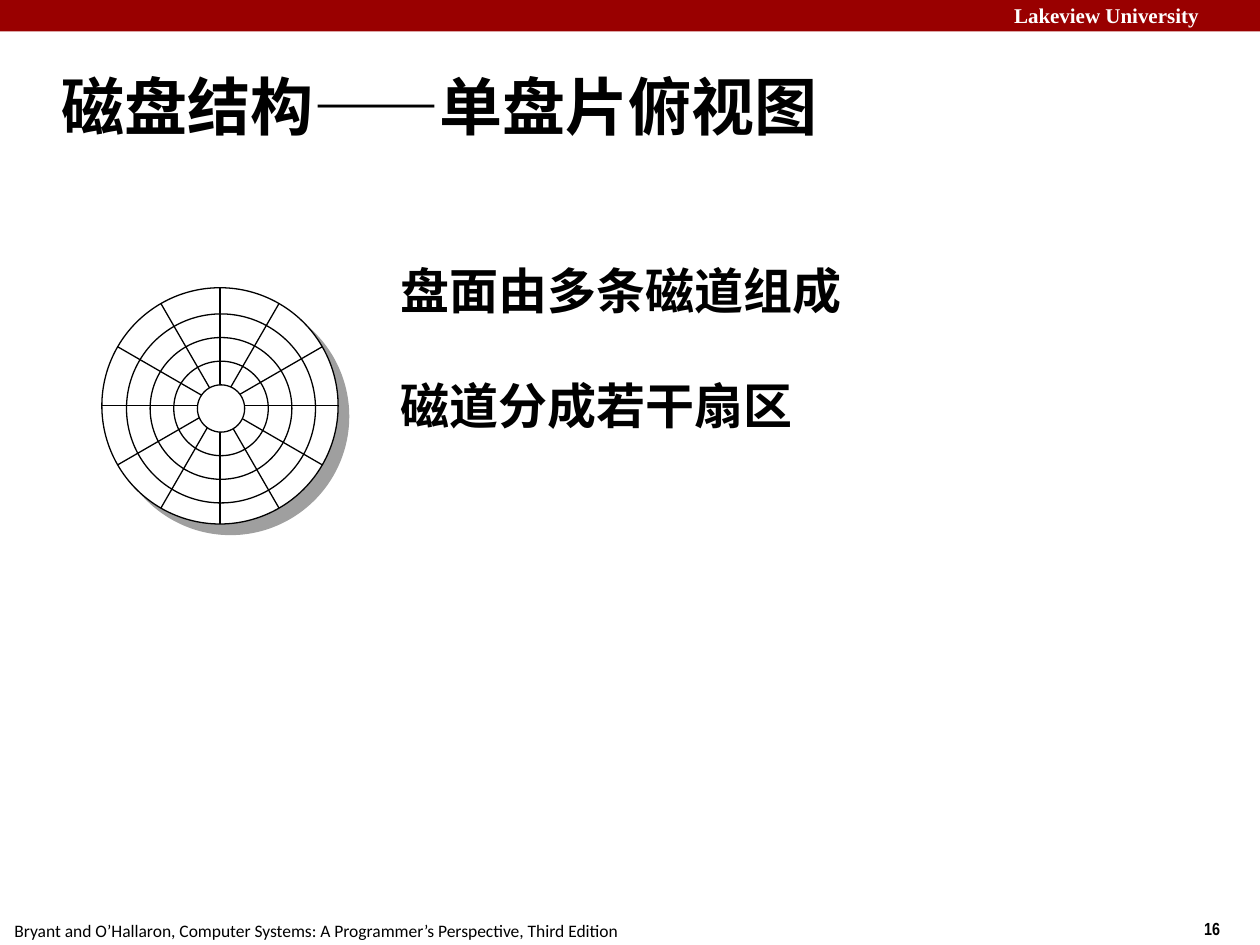
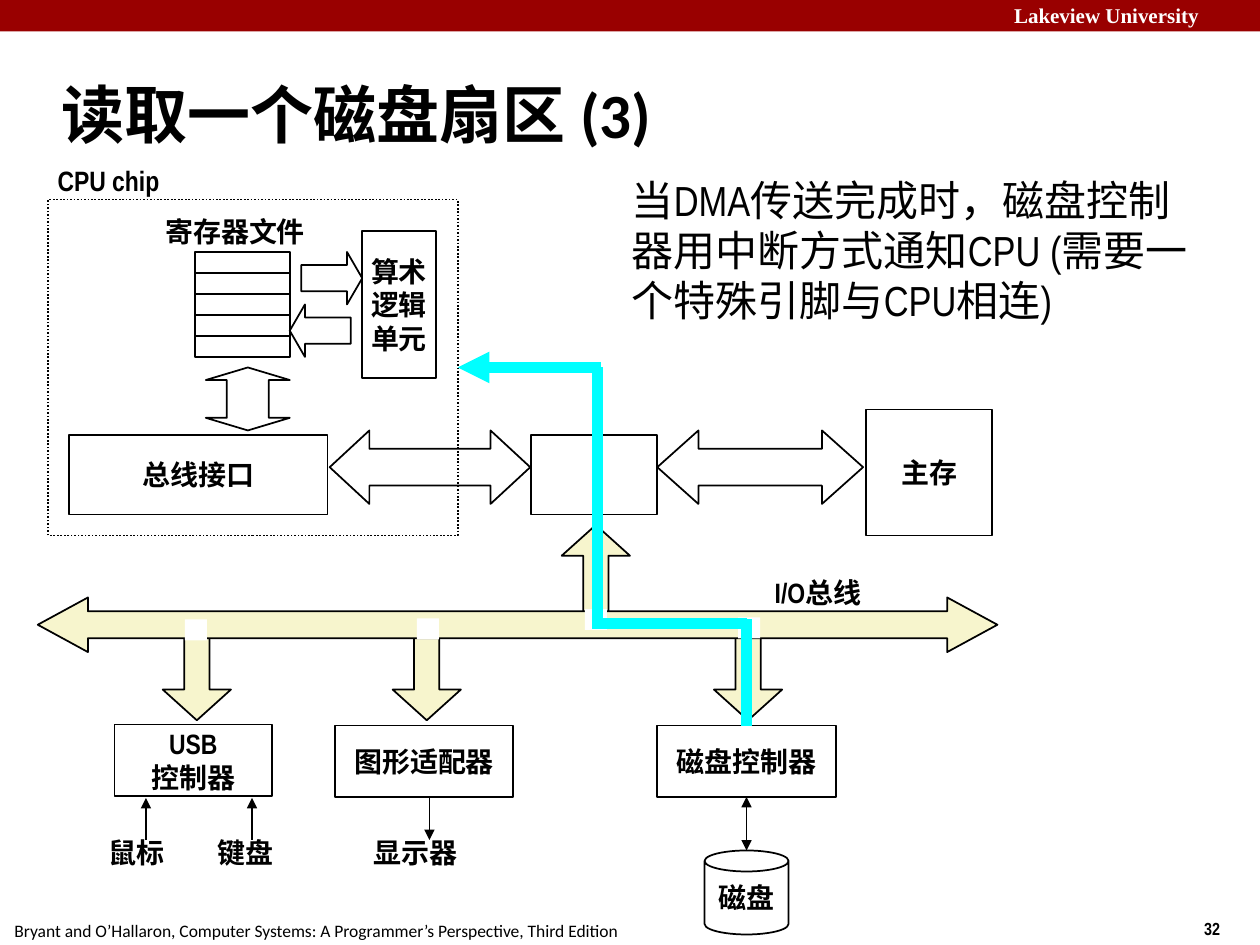
from math import cos, radians, sin

from lxml import etree
from pptx import Presentation
from pptx.dml.color import RGBColor
from pptx.enum.dml import MSO_LINE
from pptx.enum.shapes import MSO_CONNECTOR, MSO_SHAPE
from pptx.enum.text import MSO_ANCHOR, MSO_AUTO_SIZE, PP_ALIGN
from pptx.oxml.ns import qn
from pptx.util import Emu, Inches, Pt

# Grid of 120 columns by 90 rows; every length below counts its cells
COLUMNS, ROWS = 120, 90
SLIDE_WIDTH, SLIDE_HEIGHT = Inches(10), Inches(7.5)
CELL = SLIDE_WIDTH // COLUMNS

COLORS = {
    "band": "990000",
    "ink": "000000",
    "paper": "FFFFFF",
    "io_bus": "F7F5CD",
    "signal": "00FFFF",
    "shadow": "808080",
}
UNIVERSITY = "Lakeview University"
CREDIT = "Bryant and O’Hallaron, Computer Systems: A Programmer’s Perspective, Third Edition"
BODY_FONT, LABEL_FONT, TITLE_FONT, BAND_FONT = "Arial", "Arial Narrow", "Calibri", "Times New Roman"
LABEL_SIZE = 16

RECTANGLE, OVAL, CAN = MSO_SHAPE.RECTANGLE, MSO_SHAPE.OVAL, MSO_SHAPE.CAN
LEFT, RIGHT = MSO_SHAPE.LEFT_ARROW, MSO_SHAPE.RIGHT_ARROW
UP, DOWN = MSO_SHAPE.UP_ARROW, MSO_SHAPE.DOWN_ARROW
LEFT_RIGHT = MSO_SHAPE.LEFT_RIGHT_ARROW
STRAIGHT = MSO_CONNECTOR.STRAIGHT
TOP, MIDDLE, BOTTOM = MSO_ANCHOR.TOP, MSO_ANCHOR.MIDDLE, MSO_ANCHOR.BOTTOM
ALIGN_LEFT, ALIGN_CENTER = PP_ALIGN.LEFT, PP_ALIGN.CENTER
FIT_SHAPE = MSO_AUTO_SIZE.SHAPE_TO_FIT_TEXT
DOTTED = MSO_LINE.ROUND_DOT
SIDE_TOP, SIDE_BOTTOM, SIDE_RIGHT = 0, 2, 3


def cells(*counts):
    return [Emu(round(count * CELL)) for count in counts]


def color(name):
    return RGBColor.from_string(COLORS[name])


# Kinds of element
def write(shape, text, size=LABEL_SIZE, font=LABEL_FONT, bold=True, ink="ink",
          align=ALIGN_LEFT, anchor=MIDDLE, wrap=False):
    frame = shape.text_frame
    frame.word_wrap = wrap
    frame.vertical_anchor = anchor
    frame.text = text
    for para in frame.paragraphs:
        para.alignment = align
        para.font.size = Pt(size)
        para.font.name = font
        para.font.bold = bold
        para.font.color.rgb = color(ink)


def add_text(page, area, text, grow=True, **style):
    box = page.shapes.add_textbox(*cells(*area))
    write(box, text, **style)
    if grow:
        box.text_frame.auto_size = FIT_SHAPE


def add_figure(page, kind, area, fill=None, weight=1, adjust=(), text=None):
    figure = page.shapes.add_shape(kind, *cells(*area))
    figure.shadow.inherit = False
    for index, value in enumerate(adjust):
        figure.adjustments[index] = value
    if fill:
        figure.fill.solid()
        figure.fill.fore_color.rgb = color(fill)
    else:
        figure.fill.background()
    if weight:
        figure.line.color.rgb = color("ink")
        figure.line.width = Pt(weight)
    else:
        figure.line.fill.background()
    if text:
        write(figure, text, align=ALIGN_CENTER)
    return figure


def add_circle(page, center, diameter, fill=None):
    corner = [middle - diameter / 2 for middle in center]
    return add_figure(page, OVAL, (*corner, diameter, diameter), fill, weight=0.75)


def add_line(page, start, end, ink="ink", weight=1, arrows=()):
    line = page.shapes.add_connector(STRAIGHT, *cells(*start, *end))
    line.line.color.rgb = color(ink)
    line.line.width = Pt(weight)
    properties = line._element.spPr
    for arrow in arrows:
        etree.SubElement(properties.find(qn("a:ln")), qn(f"a:{arrow}End"), type="triangle")
    etree.SubElement(properties, qn("a:effectLst"))
    return line


def cast_shadow(figure, distance, angle, opacity):
    effects = figure._element.spPr.find(qn("a:effectLst"))
    shadow = etree.SubElement(effects, qn("a:outerShdw"), dist=str(Pt(distance)),
                              dir=str(angle * 60000), algn="ctr", rotWithShape="0")
    tint = etree.SubElement(shadow, qn("a:srgbClr"), val=COLORS["shadow"])
    etree.SubElement(tint, qn("a:alpha"), val=str(opacity * 1000))


# Band, footer and title of every slide
def add_page(deck, number):
    page = deck.slides.add_slide(deck.slide_layouts[6])
    add_figure(page, RECTANGLE, (0, 0, COLUMNS, 3), "band", weight=0)
    add_text(page, (95.4, -0.3, 25.4, 3.6), UNIVERSITY, size=12, font=BAND_FONT,
             ink="paper", anchor=TOP, wrap=True)
    add_text(page, (113.5, 86.8, 9, 3.2), str(number), size=10, anchor=TOP)
    add_text(page, (0.2, 87, 60.1, 3.2), CREDIT, size=10, font=TITLE_FONT,
             bold=False, anchor=TOP)
    return page


def add_title(page, text, top):
    add_text(page, (4.7, top, 111, 10), text, grow=False, size=36, font=TITLE_FONT, wrap=True)


# Disk platter seen from above
def draw_platter(page):
    center, ring_center, diameter = (20.95, 38.65), (21.05, 38.9), 22.5
    disc = add_circle(page, center, diameter, "paper")
    cast_shadow(disc, distance=8.5, angle=45, opacity=75)
    for angle in range(0, 180, 30):
        across = diameter / 2 * cos(radians(angle))
        down = diameter / 2 * sin(radians(angle))
        add_line(page, (center[0] - across, center[1] - down),
                 (center[0] + across, center[1] + down), weight=0.75)
    add_circle(page, ring_center, 4.5, "paper")
    for ring in (18, 13.5, 9):
        add_circle(page, ring_center, ring)


def build_platter_slide(deck):
    page = add_page(deck, 16)
    add_title(page, "磁盘结构——单盘片俯视图", 5)
    draw_platter(page)
    for row, statement in enumerate(("盘面由多条磁道组成", "磁道分成若干扇区")):
        add_text(page, (37, 20 + 11 * row, 75, 11), statement, grow=False, size=28,
                 font=BODY_FONT, anchor=BOTTOM, wrap=True)


# Processor, system bus and memory
def draw_processor(page):
    add_figure(page, RECTANGLE, (82.5, 39, 12, 12), text="主存")
    add_figure(page, LEFT_RIGHT, (62.6, 41, 19.6, 7), adjust=(0.5, 0.56))
    add_figure(page, RECTANGLE, (50.6, 41.4, 12, 7.6))
    add_figure(page, LEFT_RIGHT, (31.4, 41, 19.1, 7), adjust=(0.5, 0.54))
    for register in range(5):
        add_figure(page, RECTANGLE, (18.6, 24 + 2 * register, 9, 2))
    add_figure(page, RIGHT, (28.7, 24, 5.8, 5), adjust=(0.5, 0.29))
    add_figure(page, LEFT, (27.6, 29, 5.8, 5), adjust=(0.5, 0.29))
    add_figure(page, RECTANGLE, (34.5, 22, 7, 14), text="算术\n逻辑\n单元")
    add_text(page, (14.4, 19.8, 16, 4.4), "寄存器文件", align=ALIGN_CENTER)
    register_bus = add_figure(page, LEFT_RIGHT, (20.6, 34, 6, 8), adjust=(0.5, 0.2))
    register_bus.rotation = 90
    add_figure(page, RECTANGLE, (6.6, 41.4, 24.6, 7.6), text="总线接口")
    chip = add_figure(page, RECTANGLE, (4.6, 19, 39, 32))
    chip.line.dash_style = DOTTED
    add_text(page, (4.3, 15, 12.4, 4.4), "CPU chip")
    return chip


# I/O bus with its branches
def draw_io_bus(page):
    branch = {"fill": "io_bus", "adjust": (0.37, 0.45)}
    add_figure(page, UP, (53.5, 50, 6.5, 9), **branch)
    for left in (15.5, 37.4, 68):
        add_figure(page, DOWN, (left, 59.6, 6.5, 9), **branch)
    add_figure(page, LEFT_RIGHT, (3.6, 56.9, 91.4, 5.2), "io_bus", adjust=(0.49, 0.92))
    for left, top in ((17.6, 59), (39.7, 58.9), (70.3, 58.8), (55.7, 58)):
        add_figure(page, RECTANGLE, (left, top, 2.1, 2), "paper", weight=0)
    add_text(page, (72.6, 54.2, 11.6, 4.4), "I/O总线")


# Controllers and the devices below them
def draw_devices(page):
    add_figure(page, RECTANGLE, (10.9, 69, 15, 6.8), text="USB\n控制器")
    add_figure(page, RECTANGLE, (31.9, 69.1, 17, 6.8), text="图形适配器")
    controller = add_figure(page, RECTANGLE, (62.6, 69.1, 17, 6.8), text="磁盘控制器")
    for column, arrow in ((13.9, "head"), (24, "head"), (40.9, "tail")):
        add_line(page, (column, 76), (column, 80), arrows=[arrow])
    for left, width, device in ((9, 8, "鼠标"), (19.4, 8, "键盘"), (34.1, 11, "显示器")):
        add_text(page, (left, 79, width, 4.4), device, align=ALIGN_CENTER)
    add_figure(page, CAN, (67.1, 81, 8, 8), adjust=(0.25,), text="磁盘")
    disk_link = add_line(page, (71.1, 75.9), (71.1, 81), arrows=("head", "tail"))
    disk_link.begin_connect(controller, SIDE_BOTTOM)
    return controller


# Interrupt signal from the disk controller to the processor
def draw_interrupt(page, chip, controller):
    stroke = {"ink": "signal", "weight": 6}
    arrow = add_line(page, (57.2, 35), (43.6, 35), arrows=["tail"], **stroke)
    arrow.end_connect(chip, SIDE_RIGHT)
    add_line(page, (56.9, 35), (56.9, 59), **stroke)
    add_line(page, (56.4, 59.4), (71.1, 59.4), **stroke)
    drop = add_line(page, (71.1, 59), (71.1, 69.1), **stroke)
    drop.end_connect(controller, SIDE_TOP)


def build_sector_read_slide(deck):
    page = add_page(deck, 32)
    add_title(page, "读取一个磁盘扇区 (3)", 5.8)
    chip = draw_processor(page)
    controller = draw_devices(page)
    draw_io_bus(page)
    draw_interrupt(page, chip, controller)
    add_text(page, (59, 16, 57, 15.6),
             "当DMA传送完成时，磁盘控制器用中断方式通知CPU (需要一个特殊引脚与CPU相连)",
             size=24, bold=False, anchor=TOP, wrap=True)


def main():
    deck = Presentation()
    deck.slide_width, deck.slide_height = SLIDE_WIDTH, SLIDE_HEIGHT
    build_platter_slide(deck)
    build_sector_read_slide(deck)
    deck.save("out.pptx")


if __name__ == "__main__":
    main()
